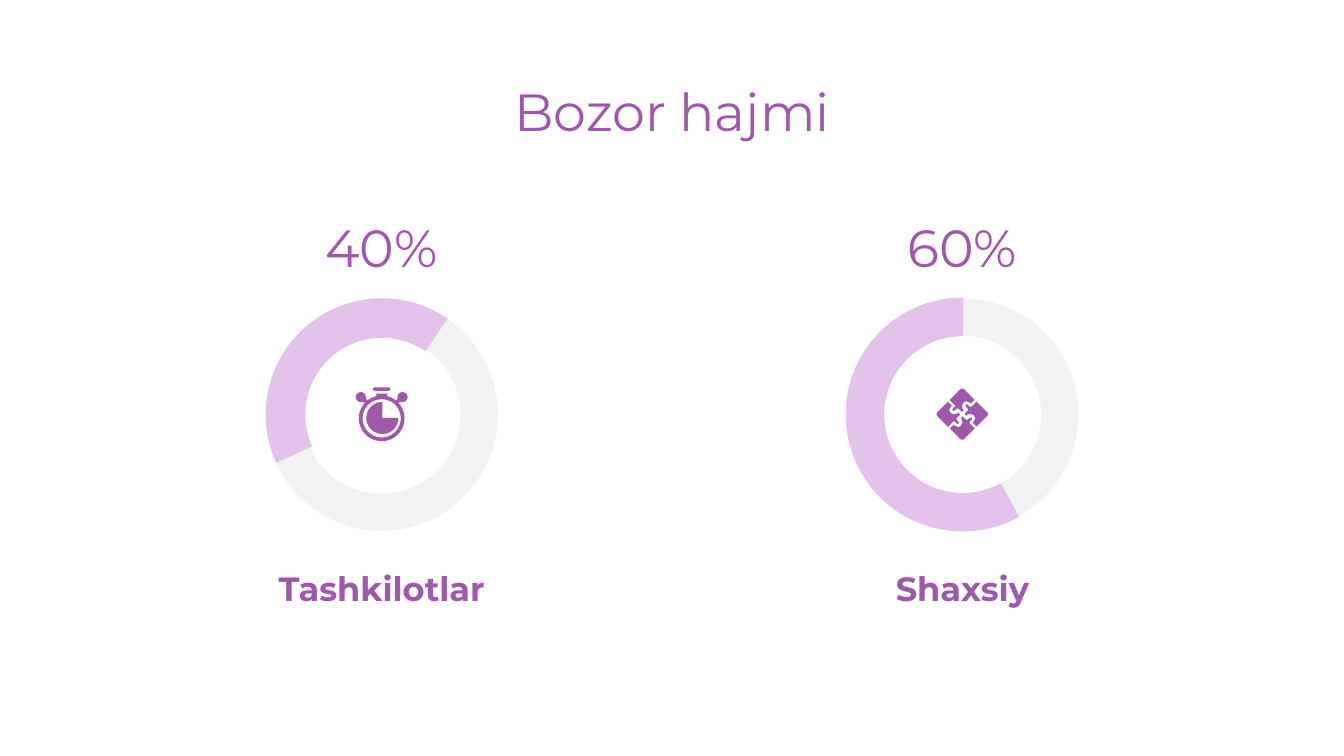
"""Build the market size slide with two ring gauges."""
from typing import NamedTuple

from lxml import etree
from pptx import Presentation
from pptx.dml.color import RGBColor
from pptx.enum.shapes import MSO_CONNECTOR, MSO_SHAPE
from pptx.enum.text import MSO_ANCHOR, MSO_AUTO_SIZE, PP_ALIGN
from pptx.oxml.ns import qn
from pptx.util import Inches, Pt

DONUT, ARC, PIE = MSO_SHAPE.DONUT, MSO_SHAPE.BLOCK_ARC, MSO_SHAPE.PIE
OVAL, ROUNDED, RECTANGLE = MSO_SHAPE.OVAL, MSO_SHAPE.ROUNDED_RECTANGLE, MSO_SHAPE.RECTANGLE
STRAIGHT = MSO_CONNECTOR.STRAIGHT
TOP, MIDDLE = MSO_ANCHOR.TOP, MSO_ANCHOR.MIDDLE
CENTER, NO_FIT = PP_ALIGN.CENTER, MSO_AUTO_SIZE.NONE

PURPLE = RGBColor(0x9E, 0x59, 0xAA)
LILAC = RGBColor(0xE3, 0xC3, 0xE9)
GRAY = RGBColor(0xF2, 0xF2, 0xF2)
FONT = "Montserrat"

CELL = Inches(0.01)
COLUMNS, ROWS = 1000, 562.5
RING_SIZE, RING_ROW = 173, 308.5
ANGLE_UNIT = 0.6
TEXT_WIDTH = 278

FRAME_FORMAT = {"word_wrap": True, "auto_size": NO_FIT, "margin_left": Inches(0.1),
                "margin_right": Inches(0.1), "margin_top": Inches(0.1),
                "margin_bottom": Inches(0.1)}
LARGE_FONT = {"name": FONT, "size": Pt(28), "bold": False}
CAPTION_FONT = {"name": FONT, "size": Pt(18), "bold": True}
LARGE_PARA = {"alignment": CENTER, "space_before": Pt(0)}
CAPTION_PARA = {**LARGE_PARA, "line_spacing": 1.15, "space_after": Pt(16)}


class Area(NamedTuple):
    """Rectangle in grid cells."""
    left: float
    top: float
    width: float
    height: float

    def emu(self) -> list[int]:
        """Return the rectangle in slide units."""
        return [round(value * CELL) for value in self]


class Gauge(NamedTuple):
    """Ring with a share, a caption and the angles, band and outline of its arc."""
    column: float
    share: str
    caption: str
    share_slot: int
    caption_slot: int
    start: float
    end: float
    band: float
    outline: float


class Part(NamedTuple):
    """Icon part placed by its centre relative to the ring centre."""
    kind: int
    across: float
    down: float
    width: float
    height: float
    adjustments: tuple = ()


GAUGES = (Gauge(284, "40%", "Tashkilotlar", 2, 1, 155.5, 304.4, 0.17, 0),
          Gauge(716, "60%", "Shaxsiy", 4, 3, 61.4, 270, 0.16, 0.75))

STOPWATCH = (Part(PIE, 0.5, 2.5, 24, 24), Part(DONUT, 0, 2.8, 34, 34, (0.08,)),
             Part(ROUNDED, 0, -19, 13, 2.6, (0.5,)), Part(RECTANGLE, 0, -14, 8, 3),
             Part(OVAL, -15.5, -13, 7.6, 7.6), Part(OVAL, 15.5, -13, 7.6, 7.6))
LEGS = ((-14, -12, -10, -8), (14, -12, 10, -8))

PUZZLE_PIECE = ((-10.6, -9.2), (-18, -2), (-19, -0.8), (-19, 0.8), (-18, 2), (-10.6, 9.4),
                (-7, 5.8), (-6.2, 5.3), (-5.4, 5.8), (-4.2, 7), (-3.2, 7.3), (-2.5, 6.8),
                (-2.6, 5.8), (-4, 4.2), (-4.4, 3.4), (-4, 2.6), (-1.6, 0.2), (-2.9, -1.1),
                (-4, -0.4), (-6, 0.2), (-8.6, -0.8), (-9.7, -3), (-8.6, -5.4), (-7.8, -6.3))


def write(box, area: Area, text: str, anchor: int, para_format: dict, font_format: dict) -> None:
    """Place a placeholder and fill it with one formatted paragraph."""
    box.left, box.top, box.width, box.height = area.emu()
    frame = box.text_frame
    frame.text = text
    para = frame.paragraphs[0]
    properties = para._p.get_or_add_pPr()
    properties.set("marL", "0")
    properties.set("indent", "0")
    etree.SubElement(properties, qn("a:buNone"))
    formats = ((frame, {**FRAME_FORMAT, "vertical_anchor": anchor}),
               (para, para_format), (para.runs[0].font, font_format))
    for target, values in formats:
        for name, value in values.items():
            setattr(target, name, value)
    para.runs[0].font.color.rgb = PURPLE


def paint(shape, color: RGBColor, outline: float = 0) -> None:
    """Give a shape a plain fill without shadow and an optional outline."""
    shape.shadow.inherit = False
    shape.fill.solid()
    shape.fill.fore_color.rgb = color
    if outline:
        shape.line.color.rgb = color
        shape.line.width = Pt(outline)
    else:
        shape.line.fill.background()


def add_part(page, part: Part, column: float, color: RGBColor, outline: float = 0) -> None:
    """Draw a preset shape around a ring centre."""
    area = Area(column + part.across - part.width / 2,
                RING_ROW + part.down - part.height / 2, part.width, part.height)
    shape = page.shapes.add_shape(part.kind, *area.emu())
    for index, value in enumerate(part.adjustments):
        shape.adjustments[index] = value
    paint(shape, color, outline)


def add_gauge(page, gauge: Gauge) -> None:
    """Draw the texts and the ring of a gauge."""
    left = gauge.column - TEXT_WIDTH / 2
    slots = {box.placeholder_format.idx: box for box in page.placeholders}
    write(slots[gauge.share_slot], Area(left, 142.5, TEXT_WIDTH, 82), gauge.share,
          MIDDLE, LARGE_PARA, LARGE_FONT)
    write(slots[gauge.caption_slot], Area(left, 408, TEXT_WIDTH, 63), gauge.caption,
          TOP, CAPTION_PARA, CAPTION_FONT)
    ring = Part(DONUT, 0, 0, RING_SIZE, RING_SIZE, (0.16,))
    angles = (gauge.start * ANGLE_UNIT, gauge.end * ANGLE_UNIT, gauge.band)
    add_part(page, ring, gauge.column, GRAY)
    add_part(page, ring._replace(kind=ARC, across=0.3, adjustments=angles),
             gauge.column, LILAC, gauge.outline)


def add_stopwatch(page, column: float) -> None:
    """Draw the stopwatch icon."""
    for part in STOPWATCH:
        add_part(page, part, column, PURPLE)
    for x1, y1, x2, y2 in LEGS:
        ends = Area(column + x1, RING_ROW + y1, column + x2, RING_ROW + y2)
        leg = page.shapes.add_connector(STRAIGHT, *ends.emu())
        leg.line.color.rgb = PURPLE
        leg.line.width = Pt(2)
        etree.SubElement(leg._element.spPr, qn("a:effectLst"))


def add_puzzle(page, column: float) -> None:
    """Draw the puzzle icon as one piece turned four times."""
    points = PUZZLE_PIECE
    for _ in range(4):
        outline = [(round((column + x) * CELL), round((RING_ROW - 0.3 + y) * CELL))
                   for x, y in points]
        builder = page.shapes.build_freeform(*outline[0])
        builder.add_line_segments(outline[1:], close=True)
        paint(builder.convert_to_shape(), PURPLE)
        points = [(-y, x) for x, y in points]


def main() -> None:
    """Build and save the deck."""
    deck = Presentation()
    deck.slide_width, deck.slide_height = round(COLUMNS * CELL), round(ROWS * CELL)
    page = deck.slides.add_slide(deck.slide_layouts.get_by_name("Comparison"))
    write(page.shapes.title, Area(78, 49, 844, 63), "Bozor hajmi", TOP, LARGE_PARA, LARGE_FONT)
    for gauge in GAUGES:
        add_gauge(page, gauge)
    add_stopwatch(page, GAUGES[0].column)
    add_puzzle(page, GAUGES[1].column)
    deck.save("out.pptx")


if __name__ == "__main__":
    main()
